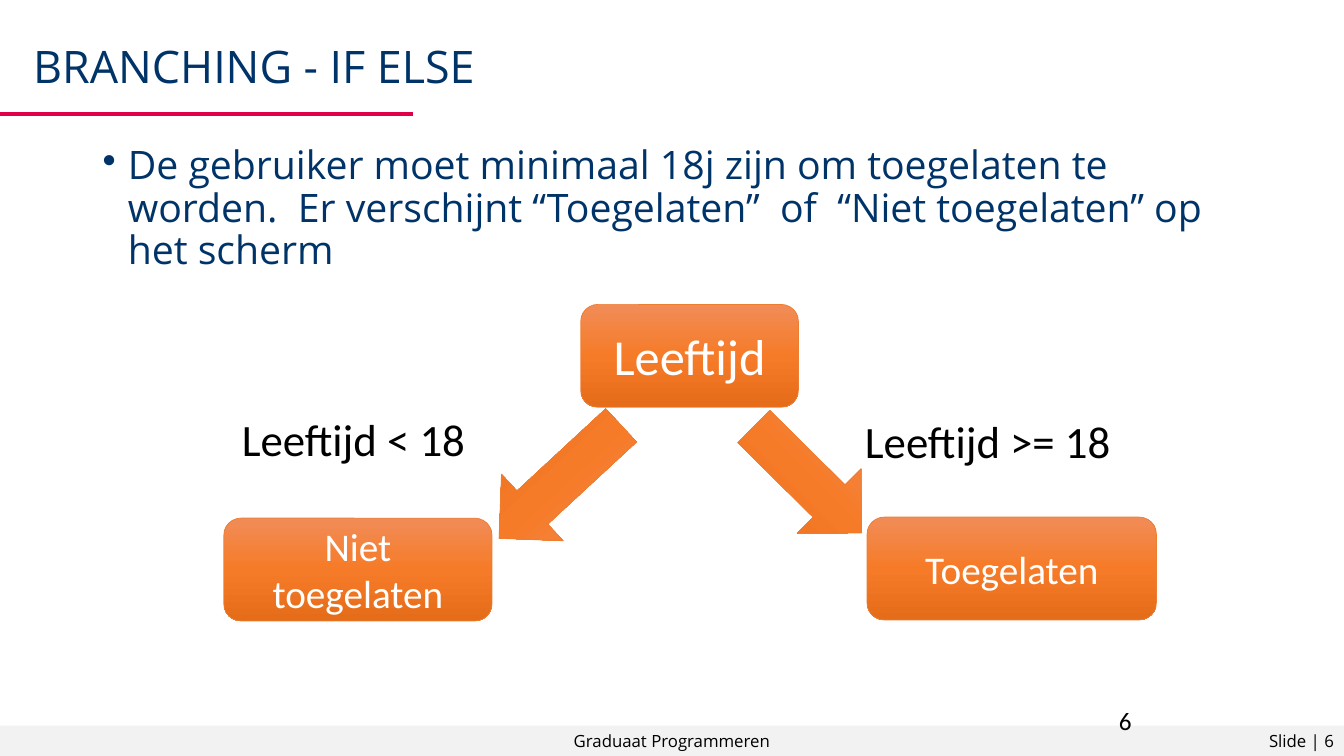
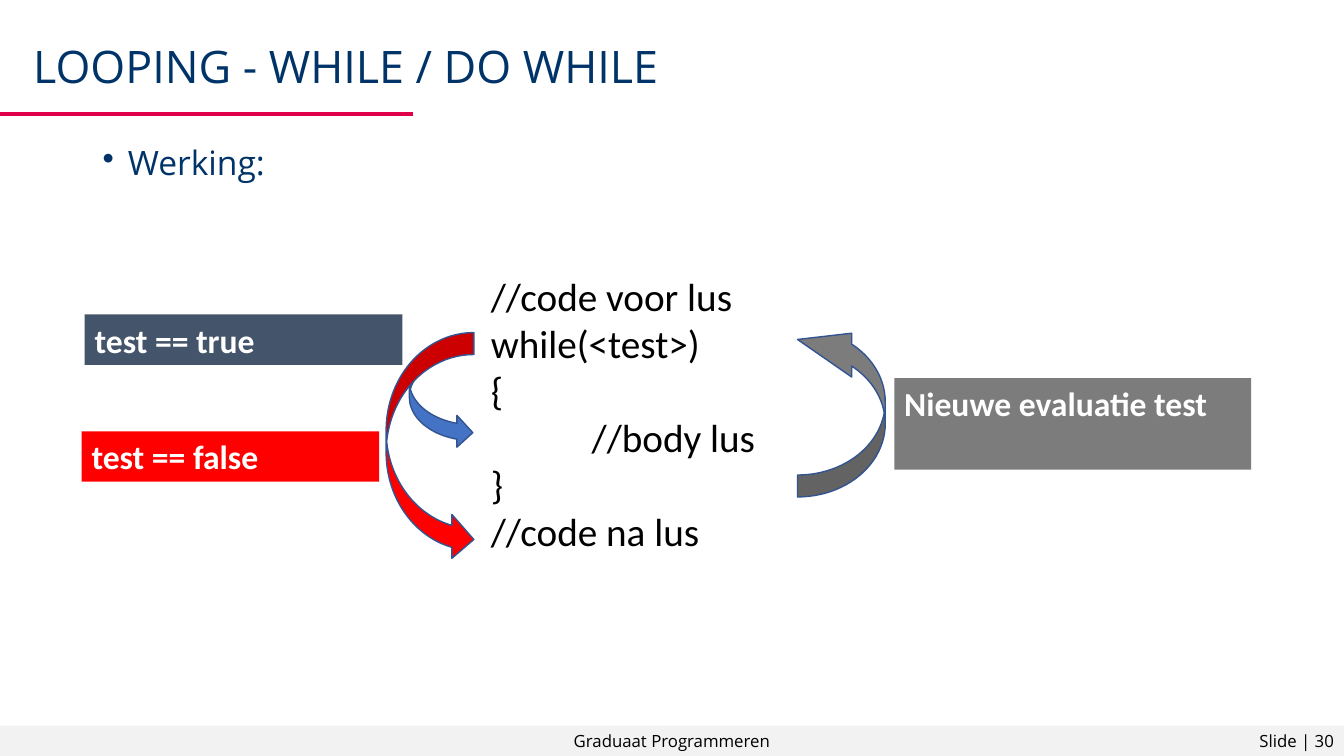
from lxml import etree
from pptx import Presentation
from pptx import util as u
from pptx.dml.color import RGBColor
from pptx.enum import shapes, text
from pptx.oxml import ns

COLORS = {
    "navy": "003469", "pink": "E00049", "band": "F2F2F2", "black": "000000",
    "white": "FFFFFF", "orange": "ED7D31", "slate": "44546A", "red": "FF0000",
    "blue": "4472C4", "outline": "325491", "gray": "7C7C7C",
}
ORANGE_STOPS = ((0, "F18C57"), (50, "F67B28"), (100, "E56C19"))
HEADING_FONT, BODY_FONT = "Open Sans", "Calibri"
WIDTH, HEIGHT = 13.33, 7.5
SHAPE, ALIGN, ANCHOR = shapes.MSO_SHAPE, text.PP_ALIGN, text.MSO_ANCHOR


def color(name):
    """Return the palette colour with this name."""
    return RGBColor.from_string(COLORS[name])


def inside(box, left, top, width, height):
    """Turn offsets within a box into a box on the slide."""
    return box[0] + left, box[1] + top, width, height


def write(shape, content, size=28, font=BODY_FONT, ink="black", bold=False,
          align=ALIGN.LEFT, anchor=ANCHOR.TOP, spacing=None):
    """Fill a shape with one paragraph per line of content."""
    frame = shape.text_frame
    frame.word_wrap = True
    frame.vertical_anchor = anchor
    for index, line in enumerate(content.split("\n")):
        paragraph = frame.add_paragraph() if index else frame.paragraphs[0]
        paragraph.alignment = align
        paragraph.line_spacing = spacing
        run = paragraph.add_run()
        run.text = line
        run.font.size = u.Pt(size)
        run.font.name = font
        run.font.bold = bold
        run.font.color.rgb = color(ink)
    return frame


def add_text(slide, box, content, **style):
    """Add a text box and return its text frame."""
    return write(slide.shapes.add_textbox(*map(u.Inches, box)), content, **style)


def add_shape(slide, kind, box, fill=None, line=None, weight=1, rotation=0):
    """Add a flat preset shape; without a fill name it gets the orange gradient."""
    shape = slide.shapes.add_shape(kind, *map(u.Inches, box))
    shape.shadow.inherit = False
    shape.rotation = rotation
    if fill:
        shape.fill.solid()
        shape.fill.fore_color.rgb = color(fill)
    else:
        fill_orange(shape)
    if line:
        shape.line.color.rgb = color(line)
        shape.line.width = u.Pt(weight)
    else:
        shape.line.fill.background()
    return shape


def fill_orange(shape):
    """Give a shape the three-stop gradient from top to bottom."""
    shape.fill.gradient()
    shape.fill.gradient_angle = 270
    stops = next(shape.element.iter(ns.qn("a:gsLst")))
    for stop in list(stops):
        stops.remove(stop)
    for percent, value in ORANGE_STOPS:
        stop = etree.SubElement(stops, ns.qn("a:gs"), pos=str(percent * 1000))
        etree.SubElement(stop, ns.qn("a:srgbClr"), val=value)


def set_indent(paragraph, left, first=0.0, bullet=None):
    """Indent a paragraph, with a bullet if one is given."""
    properties = paragraph._p.get_or_add_pPr()
    properties.set("marL", str(u.Inches(left)))
    properties.set("indent", str(u.Inches(first)))
    if bullet:
        etree.SubElement(properties, ns.qn("a:buChar"), char=bullet)


def add_footer(slide, box, number):
    """Draw the footer band with the course name and slide number."""
    band = add_shape(slide, SHAPE.RECTANGLE, box, "band")
    style = dict(size=12, font=HEADING_FONT, anchor=ANCHOR.MIDDLE)
    write(band, "Graduaat Programmeren", align=ALIGN.CENTER, **style)
    add_text(slide, inside(box, box[2] - 3, 0, 3, box[3]), f"Slide | {number}",
             align=ALIGN.RIGHT, **style)


def add_header(slide, box, title):
    """Draw the title with its underline along the bottom of the box."""
    left, top, width, height = box
    bottom = u.Inches(top + height)
    rule = slide.shapes.add_connector(shapes.MSO_CONNECTOR.STRAIGHT, u.Inches(left),
                                      bottom, u.Inches(left + 4.1), bottom)
    rule.line.color.rgb = color("pink")
    rule.line.width = u.Pt(3)
    etree.SubElement(rule.element.spPr, ns.qn("a:effectLst"))
    add_text(slide, inside(box, 0.23, 0.4, 12.18, 0.74), title, size=32,
             font=HEADING_FONT, ink="navy", spacing=0.9)


def add_content_slide(presentation, title, bullet, number, bullet_size):
    """Add a slide with header, one bullet and footer."""
    slide = presentation.slides.add_slide(presentation.slide_layouts[6])
    add_footer(slide, (0, HEIGHT - 0.3, WIDTH, 0.3), number)
    add_header(slide, (0, 0, WIDTH, 1.13), title)
    frame = add_text(slide, (0.92, 1.4, 11.5, 1.5), bullet, size=bullet_size,
                     font=HEADING_FONT, ink="navy", spacing=0.9)
    set_indent(frame.paragraphs[0], 0.25, -0.25, "•")
    return slide


def add_branch_diagram(slide, box):
    """Draw the age decision with its two outcomes."""
    nodes = (
        ("Leeftijd", 36, 3.54, 0, 2.16),
        ("Toegelaten", 28, 6.38, 2.11, 2.87),
        ("Niet toegelaten", 28, 0, 2.12, 2.66),
    )
    for label, size, left, top, width in nodes:
        node = add_shape(slide, SHAPE.ROUNDED_RECTANGLE,
                         inside(box, left, top, width, 1.02), line="orange", weight=0.5)
        write(node, label, size=size, ink="white", align=ALIGN.CENTER,
              anchor=ANCHOR.MIDDLE)
    for left, top, width, rotation in ((5.04, 1.29, 1.5, 44.7), (2.51, 1.31, 1.65, 137.2)):
        add_shape(slide, SHAPE.RIGHT_ARROW, inside(box, left, top, width, 0.9),
                  line="orange", weight=0.5, rotation=rotation)
    add_text(slide, inside(box, 6.26, 1.04, 3.88, 0.64), "Leeftijd >= 18", size=32)
    add_text(slide, inside(box, 0.08, 1.02, 3.28, 0.64), "Leeftijd < 18", size=32)


def add_loop_diagram(slide, box):
    """Draw the loop code with its labels and curved arrows."""
    labels = (
        ("test == true", "slate", 0.03, 0.47, 3.15, 0.5),
        ("test == false", "red", 0, 1.63, 2.95, 0.5),
        ("Nieuwe evaluatie test", "gray", 8.06, 1.1, 3.54, 0.91),
    )
    for label, fill, *place in labels:
        panel = add_shape(slide, SHAPE.RECTANGLE, inside(box, *place), fill)
        write(panel, label, size=24, ink="white", bold=True)
    arrows = (
        ("blue", 0, 0.25, 3.25, 0.7, 0.63, 1.1),
        ("gray", 180, 0.618, 7.1, 0.5, 0.87, 1.78),
        ("red", 0, 0.25, 3.02, 0.65, 0.87, 2.27),
    )
    for fill, rotation, head, *place in arrows:
        arrow = add_shape(slide, SHAPE.CURVED_RIGHT_ARROW, inside(box, *place), fill,
                          line="outline", rotation=rotation)
        arrow.adjustments[2] = head
    code = add_text(slide, inside(box, 3.96, 0, 4.16, 2.93),
                    "//code voor lus\nwhile(<test>)\n{\n//body lus\n}\n//code na lus")
    set_indent(code.paragraphs[3], 1)


def main():
    """Build and save the presentation."""
    presentation = Presentation()
    presentation.slide_width = u.Inches(WIDTH)
    presentation.slide_height = u.Inches(HEIGHT)
    branching = add_content_slide(
        presentation, "BRANCHING - IF ELSE",
        "De gebruiker moet minimaal 18j zijn om toegelaten te worden.  Er verschijnt "
        "“Toegelaten”  of  “Niet toegelaten” op het scherm", 6, 28)
    add_text(branching, (11, 6.95, 2.33, 0.4), "6", size=18)
    add_branch_diagram(branching, (2.22, 3.02, 9.25, 3.14))
    looping = add_content_slide(presentation, "LOOPING - WHILE / DO WHILE",
                                "Werking:", 30, 24)
    add_loop_diagram(looping, (0.81, 2.65, 11.6, 2.93))
    presentation.save("out.pptx")


main()
